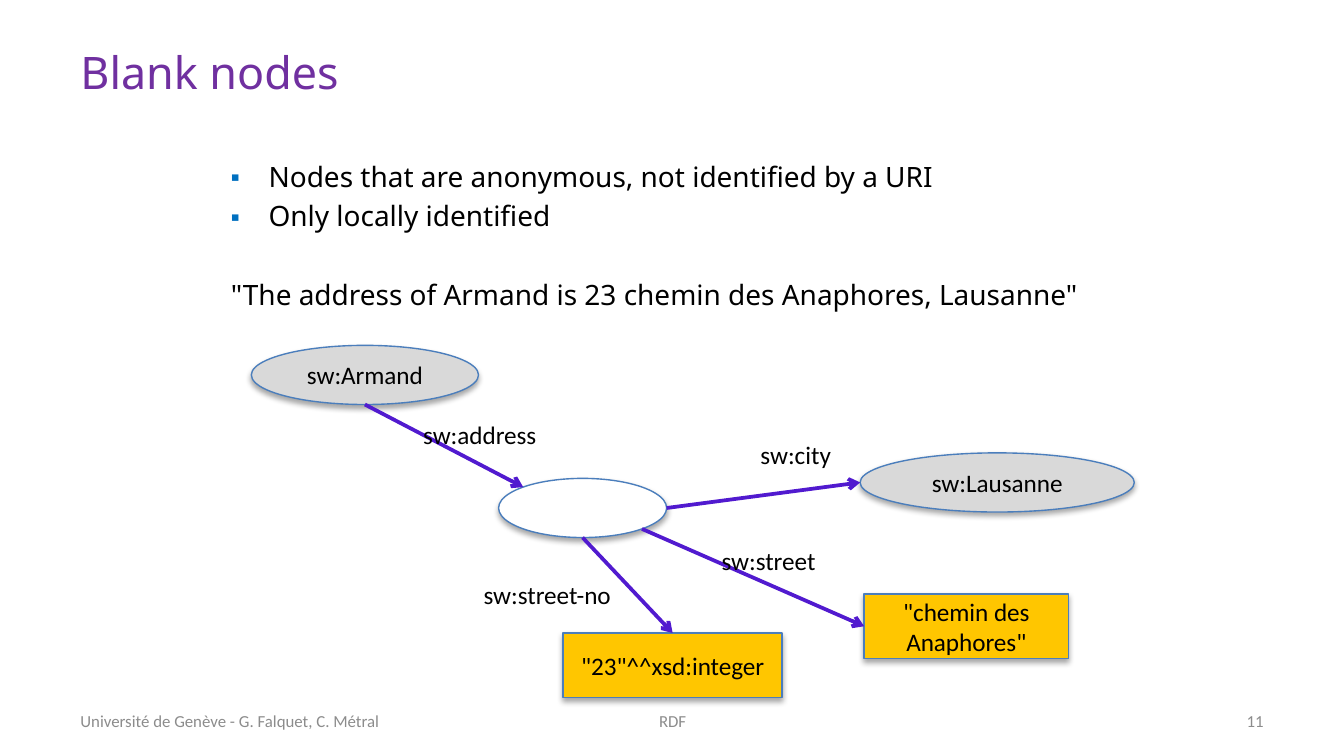
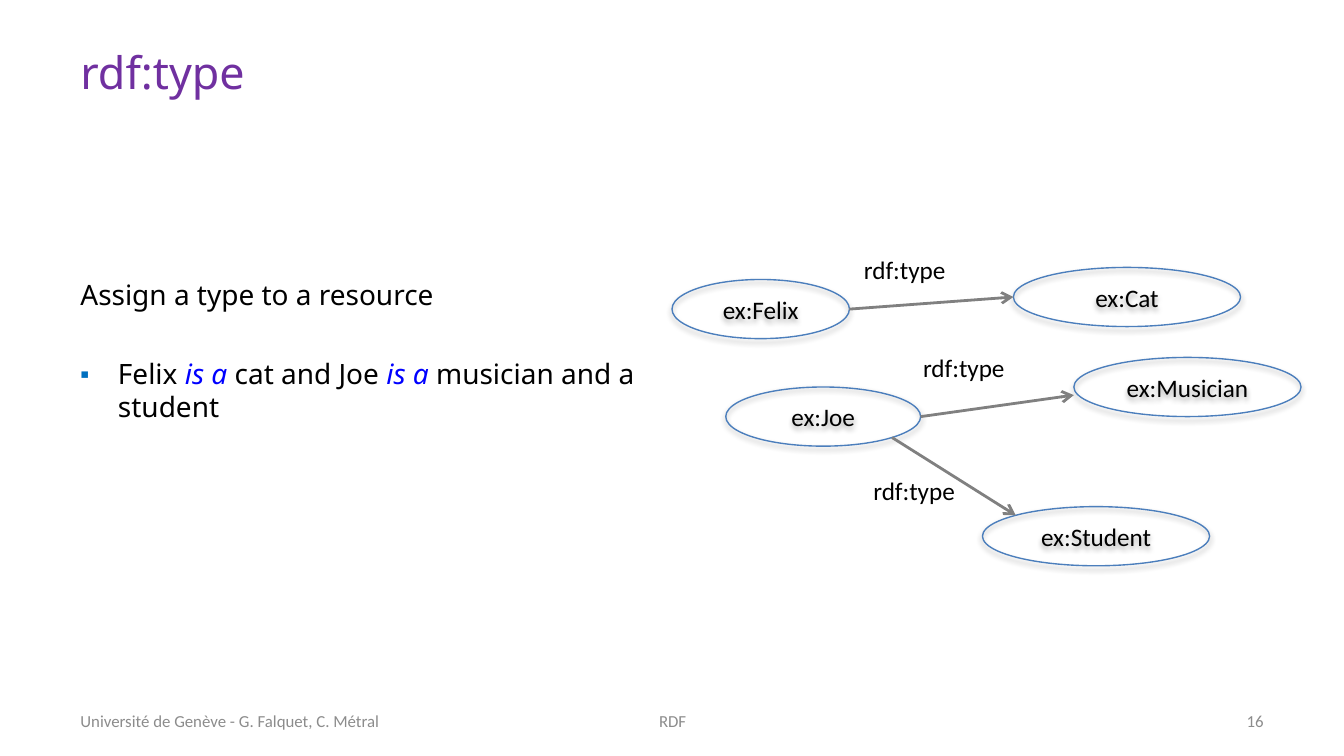
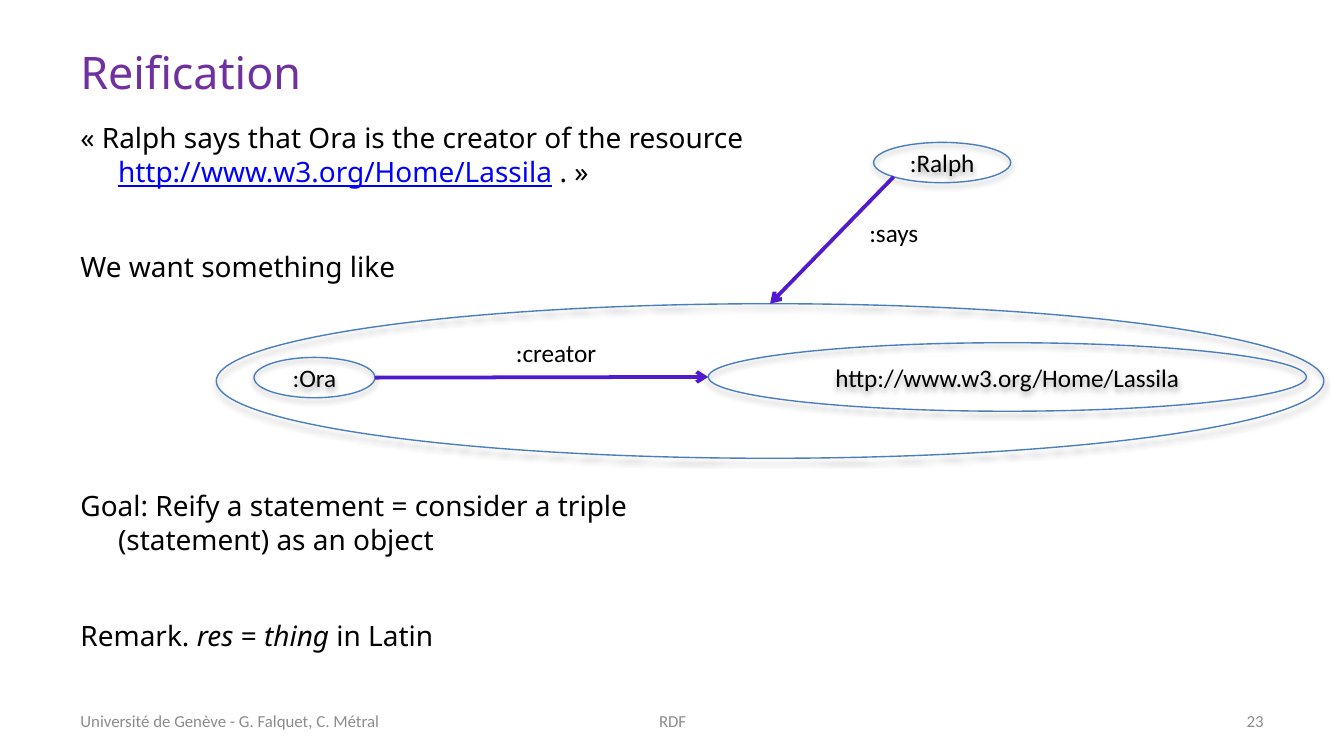
import math

import lxml.etree
import pptx
import pptx.dml.color
import pptx.enum.shapes
import pptx.enum.text
import pptx.oxml.ns
import pptx.util

Inches = pptx.util.Inches
Pt = pptx.util.Pt
ALIGN = pptx.enum.text.PP_ALIGN
ANCHOR = pptx.enum.text.MSO_ANCHOR
SHAPE = pptx.enum.shapes.MSO_SHAPE

HEAD_FONT = "Noto Sans"
NODE_FONT = "Calibri"
BLACK = "000000"
PURPLE = "7030A0"
BLUE = "0000FF"
BULLET_BLUE = "0070C0"
FOOTER_GREY = "8C8C8C"
NODE_LINE = "4B7EBC"
NODE_GREY = "D9D9D9"
LITERAL_GOLD = "FFC600"
VIOLET = "511ACF"
ARROW_GREY = "808080"

LINE_HEIGHT = 18
INDENT = 0.28
DIAGONAL = math.sqrt(0.5) / 2
SITES = {
    "top": (0.5, 0),
    "left": (0, 0.5),
    "bottom": (0.5, 1),
    "right": (1, 0.5),
    "top left": (0.5 - DIAGONAL, 0.5 - DIAGONAL),
    "bottom left": (0.5 - DIAGONAL, 0.5 + DIAGONAL),
    "bottom right": (0.5 + DIAGONAL, 0.5 + DIAGONAL),
}
RECTANGLE_SITES = {"top": 0, "left": 1, "bottom": 2, "right": 3}


def color(value):
    return pptx.dml.color.RGBColor.from_string(value)


def add_xml(parent, tag, **attributes):
    return lxml.etree.SubElement(parent, pptx.oxml.ns.qn(tag), attributes)


def set_font(font, name, size, shade):
    font.name = name
    font.size = Pt(size)
    font.color.rgb = color(shade)


def add_text(page, box, text, font, size, shade, align=ALIGN.LEFT, anchor=ANCHOR.MIDDLE, wrap=True):
    text_box = page.shapes.add_textbox(*map(Inches, box))
    frame = text_box.text_frame
    frame.word_wrap = wrap
    frame.vertical_anchor = anchor
    frame.text = text
    para = frame.paragraphs[0]
    para.alignment = align
    set_font(para.font, font, size, shade)
    return text_box


def add_page(deck, title, number):
    page = deck.slides.add_slide(deck.slide_layouts[6])
    add_text(page, (0.5, 0.23, 9, 0.6), title, HEAD_FONT, 24, PURPLE)
    footers = [
        (0.5, 2.92, "Université de Genève - G. Falquet, C. Métral", ALIGN.LEFT),
        (3.42, 3.17, "RDF", ALIGN.CENTER),
        (7.17, 2.33, str(number), ALIGN.RIGHT),
    ]
    for left, width, text, align in footers:
        add_text(page, (left, 5.21, width, 0.3), text, NODE_FONT, 9, FOOTER_GREY, align)
    return page


def add_bullet(para):
    properties = para._p.get_or_add_pPr()
    add_xml(add_xml(properties, "a:buClr"), "a:srgbClr", val=BULLET_BLUE)
    add_xml(properties, "a:buSzPct", val="80000")
    add_xml(properties, "a:buFont", typeface=HEAD_FONT)
    add_xml(properties, "a:buChar", char="▪")


def add_body(page, box, items, before=3, after=0, bottom=0.05):
    frame = page.shapes.add_textbox(*map(Inches, box)).text_frame
    frame.word_wrap = True
    frame.vertical_anchor = ANCHOR.MIDDLE
    frame.margin_bottom = Inches(bottom)
    for index, (style, skipped_lines, spans) in enumerate(items):
        para = frame.add_paragraph() if index else frame.paragraphs[0]
        para.space_before = Pt(before + skipped_lines * (LINE_HEIGHT + before + after))
        para.space_after = Pt(after)
        if style != "plain":
            properties = para._p.get_or_add_pPr()
            properties.set("marL", str(Inches(INDENT)))
            properties.set("indent", str(-Inches(INDENT)))
        if style == "bullet":
            add_bullet(para)
        set_font(para.font, HEAD_FONT, 15, BLACK)
        for text, *marks in spans:
            span = para.add_run()
            span.text = text
            if "italic" in marks:
                span.font.italic = True
            if "underline" in marks:
                span.font.underline = True
            if "blue" in marks:
                span.font.color.rgb = color(BLUE)


def add_shadow(shape):
    shape.shadow.inherit = False
    effects = shape._element.spPr.find(pptx.oxml.ns.qn("a:effectLst"))
    shadow = add_xml(effects, "a:outerShdw", blurRad=str(Pt(3.1)), dist=str(Pt(1.8)),
                     dir="5400000", rotWithShape="0")
    add_xml(add_xml(shadow, "a:srgbClr", val=BLACK), "a:alpha", val="35000")


def add_node(page, box, text="", fill=None, kind=SHAPE.OVAL):
    node = page.shapes.add_shape(kind, *map(Inches, box))
    if fill:
        node.fill.solid()
        node.fill.fore_color.rgb = color(fill)
    else:
        node.fill.background()
    node.line.color.rgb = color(NODE_LINE)
    node.line.width = Pt(0.75)
    add_shadow(node)
    if text:
        node.text_frame.text = text
        para = node.text_frame.paragraphs[0]
        para.alignment = ALIGN.CENTER
        set_font(para.font, NODE_FONT, 13.5, BLACK)
    return node


def add_label(page, left, top, width, text):
    label = add_text(page, (left, top, width, 0.33), text, NODE_FONT, 13.5, BLACK,
                     anchor=ANCHOR.TOP, wrap=False)
    label.text_frame.auto_size = pptx.enum.text.MSO_AUTO_SIZE.SHAPE_TO_FIT_TEXT


def site_point(node, site):
    across, down = SITES[site]
    return round(node.left + across * node.width), round(node.top + down * node.height)


def add_arrow(page, source, source_site, target, target_site, shade=VIOLET, width=2, drop=0):
    end_left, end_top = site_point(target, target_site)
    arrow = page.shapes.add_connector(
        pptx.enum.shapes.MSO_CONNECTOR.STRAIGHT,
        *site_point(source, source_site), end_left, end_top + Inches(drop))
    if target.auto_shape_type == SHAPE.RECTANGLE:
        arrow.end_connect(target, RECTANGLE_SITES[target_site])
    arrow.line.color.rgb = color(shade)
    arrow.line.width = Pt(width)
    add_xml(arrow.line._get_or_add_ln(), "a:tailEnd", type="arrow")
    add_xml(arrow._element.spPr, "a:effectLst")


def add_address_graph(page, left, top):
    def node(across, down, width, height, *rest):
        return add_node(page, (left + across, top + down, width, height), *rest)

    armand = node(0, 0, 1.69, 0.44, "sw:Armand", NODE_GREY)
    blank = node(1.84, 0.99, 1.25, 0.44, "", "FFFFFF")
    lausanne = node(4.53, 0.8, 2.04, 0.44, "sw:Lausanne", NODE_GREY)
    street = node(4.56, 1.85, 1.52, 0.48, '"chemin des Anaphores"', LITERAL_GOLD, SHAPE.RECTANGLE)
    house = node(2.32, 2.14, 1.63, 0.48, '"23"^^xsd:integer', LITERAL_GOLD, SHAPE.RECTANGLE)
    add_arrow(page, armand, "bottom", blank, "top left")
    add_arrow(page, blank, "right", lausanne, "left")
    add_arrow(page, blank, "bottom right", street, "left")
    add_arrow(page, blank, "bottom", house, "top")
    for across, down, width, text in [
        (1.18, 0.5, 1.06, "sw:address"),
        (3.4, 1.44, 0.91, "sw:street"),
        (1.63, 1.69, 1.16, "sw:street-no"),
        (3.69, 0.65, 0.73, "sw:city"),
    ]:
        add_label(page, left + across, top + down, width, text)


def add_type_graph(page, left, top):
    def node(across, down, width, text):
        return add_node(page, (left + across, top + down, width, 0.44), text)

    felix = node(0, 0.09, 1.32, "ex:Felix")
    cat = node(2.54, 0, 1.69, "ex:Cat")
    joe = node(0.4, 0.89, 1.45, "ex:Joe")
    musician = node(2.99, 0.67, 1.69, "ex:Musician")
    student = node(2.31, 1.78, 1.69, "ex:Student")
    add_arrow(page, felix, "right", cat, "left", ARROW_GREY, 1.5)
    add_arrow(page, joe, "right", musician, "left", ARROW_GREY, 1.5, drop=0.06)
    add_arrow(page, joe, "bottom right", student, "top left", ARROW_GREY, 1.5)
    for across, down in [(1.33, -0.15), (1.77, 0.58), (1.4, 1.5)]:
        add_label(page, left + across, top + down, 0.82, "rdf:type")


def add_statement_graph(page, left, top):
    def node(across, down, width, height, text=""):
        return add_node(page, (left + across, top + down, width, height), text)

    resource = node(3.66, 1.49, 4.45, 0.51, "http://www.w3.org/Home/Lassila")
    ralph = node(4.89, 0, 1.02, 0.3, ":Ralph")
    ora = node(0.28, 1.6, 0.9, 0.3, ":Ora")
    statement = node(0, 1.2, 8.24, 1.15)
    add_arrow(page, ora, "right", resource, "left")
    add_arrow(page, ralph, "bottom left", statement, "top")
    add_label(page, left + 2.13, top + 1.4, 0.81, ":creator")
    add_label(page, left + 4.76, top + 0.51, 0.57, ":says")


def build_blank_nodes(deck):
    page = add_page(deck, "Blank nodes", 11)
    add_body(page, (1.62, 1.02, 6.75, 1.46), [
        ("bullet", 0, [("Nodes that are anonymous, not identified by a URI",)]),
        ("bullet", 0, [("Only locally identified",)]),
        ("plain", 1, [('"The address of Armand is 23 chemin des Anaphores, Lausanne"',)]),
    ])
    add_address_graph(page, 1.87, 2.57)


def build_rdf_type(deck):
    page = add_page(deck, "rdf:type", 16)
    add_body(page, (0.5, 1.02, 4.5, 4), [
        ("plain", 0, [("Assign a type to a resource",)]),
        ("bullet", 1, [
            ("Felix ",), ("is a", "italic", "blue"), (" cat and Joe",),
            (" is a ", "italic", "blue"), ("musician and a student",),
        ]),
    ], bottom=0.87)
    add_type_graph(page, 5, 1.99)


def build_reification(deck):
    page = add_page(deck, "Reification", 23)
    add_body(page, (0.5, 1.02, 5.28, 4), [
        ("hanging", 0, [
            ("« Ralph says that Ora is the creator of the resource ",),
            ("http://www.w3.org/Home/Lassila", "underline", "blue"), (" . »",),
        ]),
        ("hanging", 1, [("We want something like",)]),
        ("hanging", 4, [("Goal: Reify a statement = consider a triple (statement) as an object",)]),
        ("hanging", 1, [
            ("Remark. ",), ("res", "italic"), (" = ",), ("thing", "italic"), (" in Latin",),
        ]),
    ], before=3.8, after=3.8, bottom=0.34)
    add_statement_graph(page, 1.61, 1.06)


def main():
    deck = pptx.Presentation()
    deck.slide_width = Inches(10)
    deck.slide_height = deck.slide_width * 9 // 16
    build_blank_nodes(deck)
    build_rdf_type(deck)
    build_reification(deck)
    deck.save("out.pptx")


if __name__ == "__main__":
    main()
